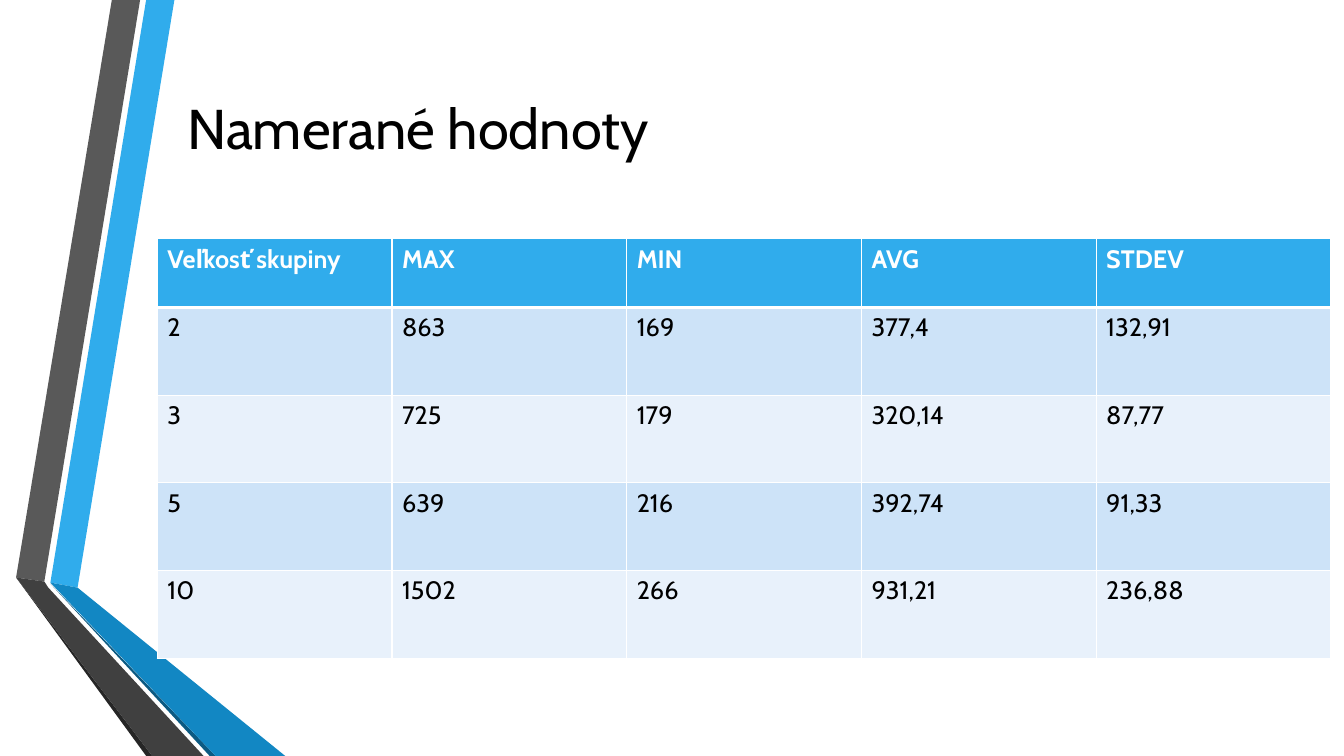
from dataclasses import dataclass
from lxml.etree import SubElement
from pptx import Presentation
from pptx.dml.color import RGBColor
from pptx.enum.text import MSO_ANCHOR
from pptx.oxml.ns import qn
from pptx.util import Inches, Pt

TITLE = "Namerané hodnoty"
ROWS = [
    ("Veľkosť skupiny", "MAX", "MIN", "AVG", "STDEV"),
    ("2", "863", "169", "377,4", "132,91"),
    ("3", "725", "179", "320,14", "87,77"),
    ("5", "639", "216", "392,74", "91,33"),
    ("10", "1502", "266", "931,21", "236,88"),
]


@dataclass(frozen=True)
class Theme:
    font: str = "Cabin"
    head: int = 40
    body: int = 18
    ink: str = "000000"
    white: str = "FFFFFF"
    blue: str = "30ACEC"
    bands: tuple = ("CDE3F8", "E8F1FB")
    thin: int = 1
    thick: int = 3


LOOK = Theme()
BARS = [
    (LOOK.blue, [(0.5, 5.78), (0.77, 5.83), (1.73, 0), (1.45, 0)]),
    ("595959", [(1.39, 0), (1.11, 0), (0.16, 5.73), (0.44, 5.77)]),
    ("262626", [(0.16, 5.73), (1.45, 7.5), (1.51, 7.5)]),
    ("0C5A82", [(0.5, 5.79), (2.08, 7.5), (2.14, 7.5)]),
    ("1287C3", [(0.5, 5.78), (2.14, 7.5), (2.83, 7.5), (0.77, 5.83)]),
    ("404040", [(2.02, 7.5), (0.48, 5.83), (0.44, 5.77), (0.16, 5.73),
                (1.51, 7.5)]),
]


def paint(fill, color):
    fill.solid()
    fill.fore_color.rgb = RGBColor.from_string(color)


def write(frame, text, size=LOOK.body, color=LOOK.ink, bold=False):
    run = frame.paragraphs[0].add_run()
    run.text = text
    run.font.name = LOOK.font
    run.font.size = Pt(size)
    run.font.bold = bold
    run.font.color.rgb = RGBColor.from_string(color)


def draw_bar(slide, color, points):
    pen = slide.shapes.build_freeform(
        *[Inches(n) for n in points[0]], scale=1.0)
    pen.add_line_segments([(Inches(x), Inches(y)) for x, y in points[1:]])
    bar = pen.convert_to_shape()
    bar.shadow.inherit = False
    paint(bar.fill, color)
    bar.line.fill.background()


def edge(cell, top, base):
    props = cell._tc.get_or_add_tcPr()
    sides = {"L": LOOK.thin, "R": LOOK.thin, "T": top, "B": base}
    for side, width in sides.items():
        line = SubElement(props, qn(f"a:ln{side}"), w=str(Pt(width)))
        fill = SubElement(line, qn("a:solidFill"))
        SubElement(fill, qn("a:srgbClr"), val=LOOK.white)


def draw_table(slide):
    grid = slide.shapes.add_table(
        len(ROWS), len(ROWS[0]), Inches(1.56), Inches(2.37),
        Inches(11.64), Inches(4.16)).table
    for col in grid.columns:
        col.width = Inches(11.64 / len(ROWS[0]))
    for r, row in enumerate(ROWS):
        head = r == 0
        grid.rows[r].height = Inches(0.68 if head else 0.87)
        for c, text in enumerate(row):
            cell = grid.cell(r, c)
            edge(cell, LOOK.thick if r == 1 else LOOK.thin,
                 LOOK.thick if head else LOOK.thin)
            paint(cell.fill, LOOK.blue if head else LOOK.bands[(r - 1) % 2])
            write(cell.text_frame, text, bold=head,
                  color=LOOK.white if head else LOOK.ink)


deck = Presentation()
deck.slide_width, deck.slide_height = Inches(13.33), Inches(7.5)
slide = deck.slides.add_slide(deck.slide_layouts[6])
paint(slide.background.fill, LOOK.white)
for color, points in BARS:
    draw_bar(slide, color, points)
frame = slide.shapes.add_textbox(
    Inches(1.76), Inches(0.3), Inches(10.96), Inches(1.92)).text_frame
frame.word_wrap = True
frame.vertical_anchor = MSO_ANCHOR.MIDDLE
write(frame, TITLE, size=LOOK.head)
draw_table(slide)
deck.save("out.pptx")
